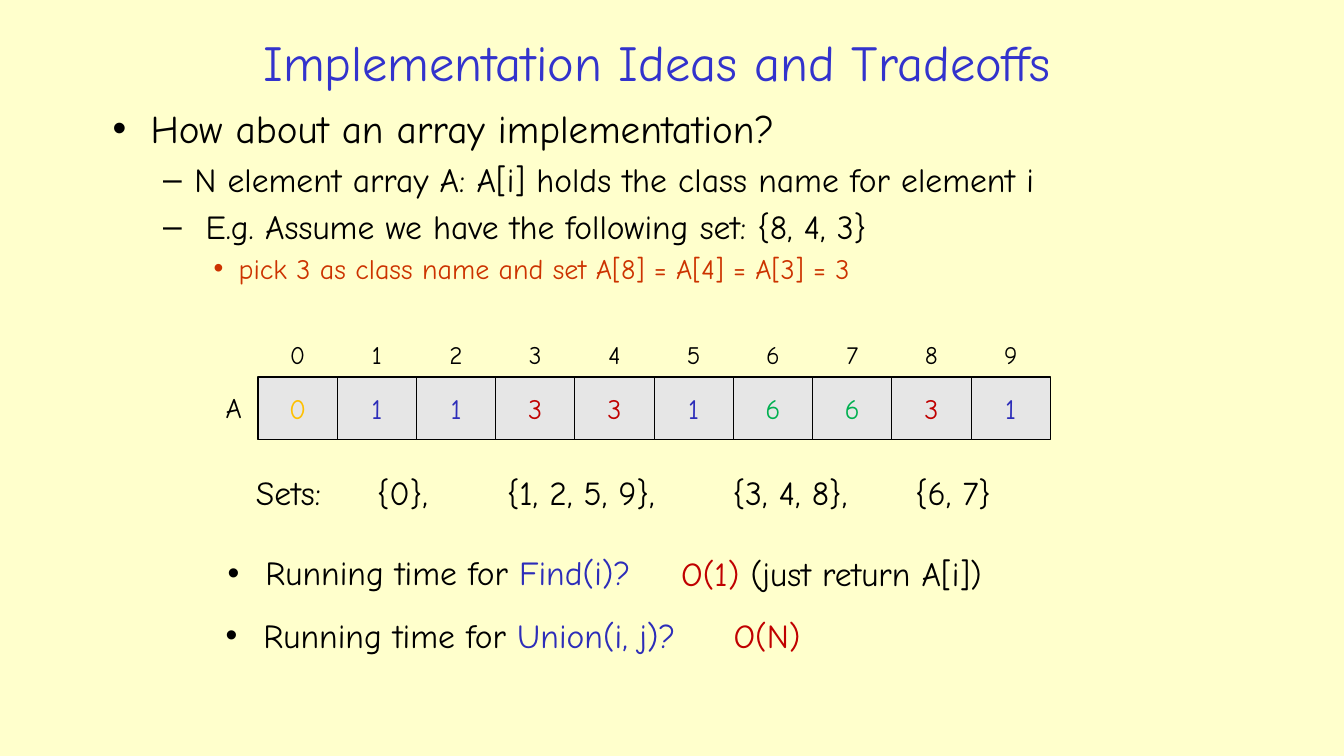
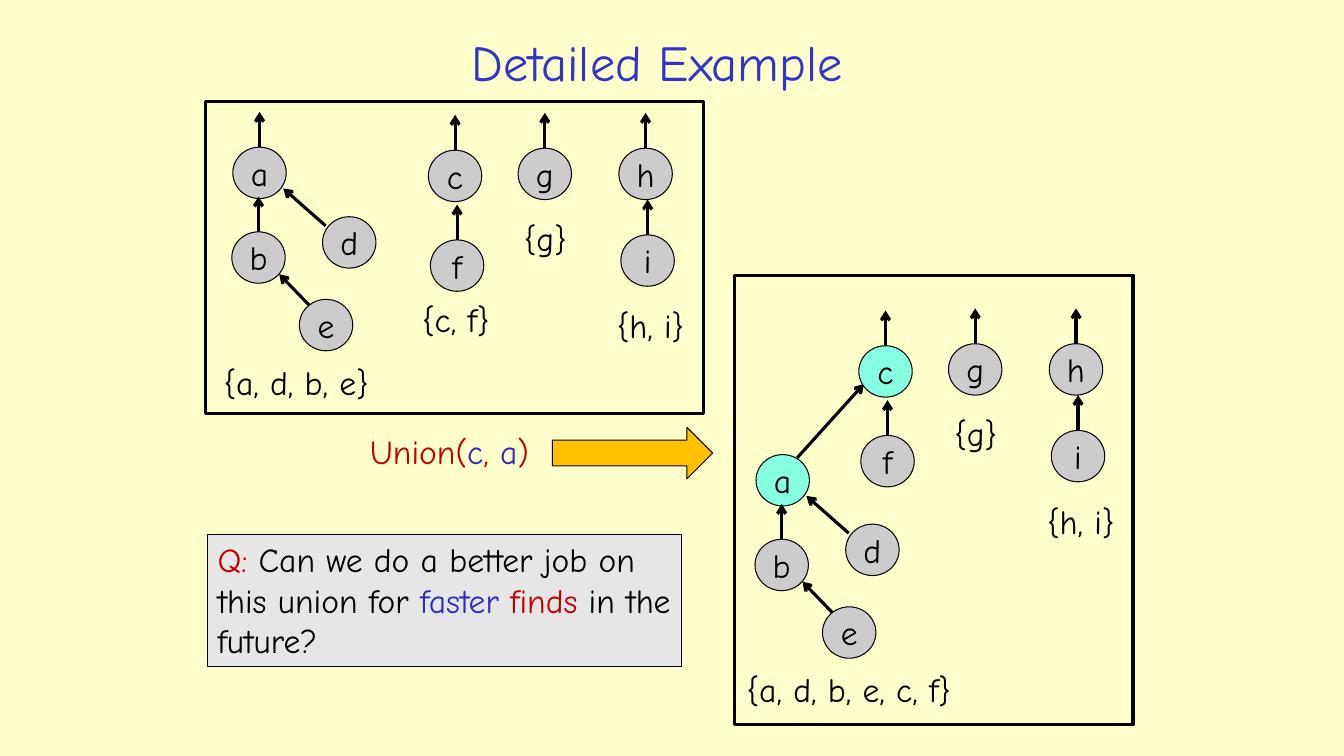
from lxml import etree
from pptx import Presentation
from pptx.dml.color import RGBColor
from pptx.enum.shapes import MSO_CONNECTOR as Connector, MSO_SHAPE as Shape
from pptx.enum.text import MSO_ANCHOR as Anchor, PP_ALIGN as Align
from pptx.oxml.ns import qn
from pptx.util import Inches, Pt

GRID = 0.1  # inches per column and per row
COLUMNS, ROWS = 133.33, 75
FONT = "Comic Neue"
COLORS = {
    "background": "FFFFCC", "title": "3333CC", "text": "000000", "pick": "CC3300",
    "red": "C00000", "blue": "2D2DB9", "green": "00B050", "gold": "FFC000",
    "panel": "E6E6E6", "node": "CCCCCC", "merged": "85FFE0",
}
# level: (bullet, left margin, hanging indent) in columns
BULLETS = {0: ("•", 3.75, 3.75), 1: ("–", 8.1, 3.1), 2: ("•", 12.5, 2.5)}

ARRAY = [("0", "gold"), ("1", "blue"), ("1", "blue"), ("3", "red"), ("3", "red"),
         ("1", "blue"), ("6", "green"), ("6", "green"), ("3", "red"), ("1", "blue")]
CELL_PITCH = 7.86

NODE_SIZE = (5.3, 5.1)
ROOT_ARROW = 3.5
TREE_A = {"a": (23.1, 14.6), "b": (23, 23), "d": (32, 21.5), "e": (29.7, 29.7)}
OTHER_TREES = {"c": (42.5, 14.9), "f": (42.7, 23.8), "g": (51.4, 14.7),
               "h": (61.4, 14.7), "i": (61.6, 23.3)}
OTHER_SETS = {"{g}": (51, 21.1), "{h, i}": (60.2, 29.8)}
# start and end of slanted arrows, from the top left corner of the child node
SLANTED = {"d": ((0.3, 0.9), (-3.9, -2.8)), "e": ((1, 0.6), (-2, -2.5))}
A_UNDER_C = {"a": ((4.1, 0.3), (10.7, -7))}


def grid(*lengths):
    return [Inches(length * GRID) for length in lengths]


def rgb(name):
    return RGBColor.from_string(COLORS[name])


def write(paragraph, pieces, size):
    """Fill a paragraph with (text, color name) pieces."""
    for text, color in pieces:
        run = paragraph.add_run()
        run.text = text
        run.font.name = FONT
        run.font.size = Pt(size)
        run.font.color.rgb = rgb(color)


def add_bullet(paragraph, level):
    mark, margin, hanging = BULLETS[level]
    properties = paragraph._p.get_or_add_pPr()
    properties.set("marL", str(Inches(margin * GRID)))
    properties.set("indent", str(-Inches(hanging * GRID)))
    etree.SubElement(properties, qn("a:buFont"), typeface="Arial")
    etree.SubElement(properties, qn("a:buChar"), char=mark)


def add_tabs(paragraph, stops):
    tabs = etree.SubElement(paragraph._p.get_or_add_pPr(), qn("a:tabLst"))
    for stop in stops:
        etree.SubElement(tabs, qn("a:tab"), pos=str(Inches(stop * GRID)), algn="l")


def add_text(slide, box, pieces, size=24, align=Align.LEFT, wrap=False):
    frame = slide.shapes.add_textbox(*grid(*box)).text_frame
    frame.word_wrap = wrap
    paragraph = frame.paragraphs[0]
    paragraph.alignment = align
    write(paragraph, pieces, size)
    return frame


def add_bullets(slide, box, items):
    """Write (level, size, pieces) items as one bulleted list."""
    frame = slide.shapes.add_textbox(*grid(*box)).text_frame
    frame.word_wrap = True
    for number, (level, size, pieces) in enumerate(items):
        paragraph = frame.add_paragraph() if number else frame.paragraphs[0]
        if number:
            paragraph.space_before = Pt(0.2 * size)
        add_bullet(paragraph, level)
        write(paragraph, pieces, size)


def add_shape(slide, kind, box, fill=None, weight=0.75):
    shape = slide.shapes.add_shape(kind, *grid(*box))
    shape.shadow.inherit = False
    if fill:
        shape.fill.solid()
        shape.fill.fore_color.rgb = rgb(fill)
    else:
        shape.fill.background()
    shape.line.color.rgb = rgb("text")
    shape.line.width = Pt(weight)
    return shape


def add_label(shape, text, size, color="text"):
    """Centre a short text inside a shape."""
    frame = shape.text_frame
    frame.margin_left = frame.margin_right = frame.margin_top = frame.margin_bottom = 0
    frame.word_wrap = False
    frame.vertical_anchor = Anchor.MIDDLE
    paragraph = frame.paragraphs[0]
    paragraph.alignment = Align.CENTER
    write(paragraph, [(text, color)], size)


def add_arrow(slide, start, end):
    arrow = slide.shapes.add_connector(Connector.STRAIGHT, *grid(*start, *end))
    arrow.line.color.rgb = rgb("text")
    arrow.line.width = Pt(2.25)
    etree.SubElement(arrow.line._get_or_add_ln(), qn("a:tailEnd"), type="arrow")
    etree.SubElement(arrow._element.spPr, qn("a:effectLst"))
    return arrow


def add_trees(slide, nodes, slanted, shift=(0, 0), merged=""):
    """Draw nodes, each with an arrow towards its parent."""
    width, height = NODE_SIZE
    for name, (column, row) in nodes.items():
        column, row = column + shift[0], row + shift[1]
        fill = "merged" if name in merged else "node"
        node = add_shape(slide, Shape.OVAL, (column, row, width, height), fill)
        add_label(node, name, 24)
        if name in slanted:
            start, end = [(column + x, row + y) for x, y in slanted[name]]
            add_arrow(slide, start, end)
        else:
            middle = column + width / 2
            arrow = add_arrow(slide, (middle, row), (middle, row - ROOT_ARROW))
            arrow.begin_connect(node, 0)


def add_sets(slide, sets, shift=(0, 0)):
    for text, (column, row) in sets.items():
        box = (column + shift[0], row + shift[1], 4 + 1.2 * len(text), 5)
        add_text(slide, box, [(text, "text")])


def add_titled_slide(presentation, title):
    slide = presentation.slides.add_slide(presentation.slide_layouts[6])
    frame = add_text(slide, (20.4, 2.6, 89.6, 6.9), [(title, "title")], 36,
                     Align.CENTER, wrap=True)
    frame.vertical_anchor = Anchor.MIDDLE
    return slide


def add_array(slide, left, top):
    add_text(slide, (left - 4.2, top + 0.9, 4.1, 4.4), [("A", "text")], 20)
    for index, (value, color) in enumerate(ARRAY):
        column = left + index * CELL_PITCH
        cell = add_shape(slide, Shape.RECTANGLE, (column, top, CELL_PITCH, 6.2), "panel")
        add_label(cell, value, 20, color)
        add_text(slide, (column, top - 4.2, CELL_PITCH, 4), [(str(index), "text")], 18,
                 Align.CENTER, wrap=True)


def build_array_slide(presentation):
    slide = add_titled_slide(presentation, "Implementation Ideas and Tradeoffs")
    add_bullets(slide, (10.2, 9.9, 109.6, 27.2), [
        (0, 28, [("How about an array implementation?", "text")]),
        (1, 24, [("N element array A: A[i] holds the class name for element i", "text")]),
        (1, 24, [(" E.g. Assume we have the following set: {8, 4, 3}", "text")]),
        (2, 20, [("pick 3 as class name and set A[8] = A[4] = A[3] = 3", "pick")]),
    ])
    add_array(slide, 25.6, 37.4)
    sets = add_text(slide, (24.4, 46.3, 81.1, 5),
                    [("Sets:\t{0},\t{1, 2, 5, 9},\t{3, 4, 8},\t{6, 7}", "text")], wrap=True)
    add_tabs(sets.paragraphs[0], (12, 24.9, 47.3, 65.4))
    add_bullets(slide, (21.6, 54.3, 44.5, 6.9), [
        (0, 24, [("Running time for ", "text"), ("Find(i)?", "blue")])])
    add_text(slide, (66.6, 54.4, 37.7, 5.6),
             [("O(1)", "red"), (" (just return A[i])", "text")])
    add_bullets(slide, (21.4, 60.5, 51.6, 6.9), [
        (0, 24, [("Running time for", "text"), (" Union(i, j)?", "blue")])])
    add_text(slide, (71.8, 60.5, 11, 5.6), [("O(N)", "red")])


def build_union_slide(presentation):
    slide = add_titled_slide(presentation, "Detailed Example")

    add_shape(slide, Shape.RECTANGLE, (20.4, 10.1, 49.4, 30.9), weight=2.25)
    add_trees(slide, TREE_A | OTHER_TREES, SLANTED)
    add_sets(slide, OTHER_SETS | {"{c, f}": (40.9, 29.2), "{a, d, b, e}": (21.2, 35.4)})

    add_text(slide, (35.7, 42.3, 18.6, 5.1), [
        ("Union(", "red"), ("c", "blue"), (", ", "red"), ("a", "blue"), (")", "red")])
    add_shape(slide, Shape.RIGHT_ARROW, (54.8, 42.4, 15.9, 5.1), "gold")

    others_shift = (42.7, 19.4)
    add_shape(slide, Shape.RECTANGLE, (72.9, 27.3, 39.5, 44.6), weight=2.25)
    add_trees(slide, TREE_A, SLANTED | A_UNDER_C, (51.9, 30.5), merged="a")
    add_trees(slide, OTHER_TREES, SLANTED, others_shift, merged="c")
    add_sets(slide, OTHER_SETS, others_shift)
    add_sets(slide, {"{a, d, b, e, c, f}": (73.1, 65.9)})

    question = add_shape(slide, Shape.RECTANGLE, (20.6, 53, 47, 13.1), "panel").text_frame
    question.word_wrap = True
    question.vertical_anchor = Anchor.TOP
    question.paragraphs[0].alignment = Align.LEFT
    write(question.paragraphs[0], [
        ("Q: ", "red"), ("Can we do a better job on this union for ", "text"),
        ("faster ", "blue"), ("finds", "red"), (" in the future?", "text")], 24)


def main():
    presentation = Presentation()
    presentation.slide_width, presentation.slide_height = grid(COLUMNS, ROWS)
    background = presentation.slide_master.background.fill
    background.solid()
    background.fore_color.rgb = rgb("background")
    build_array_slide(presentation)
    build_union_slide(presentation)
    presentation.save("out.pptx")


if __name__ == "__main__":
    main()
